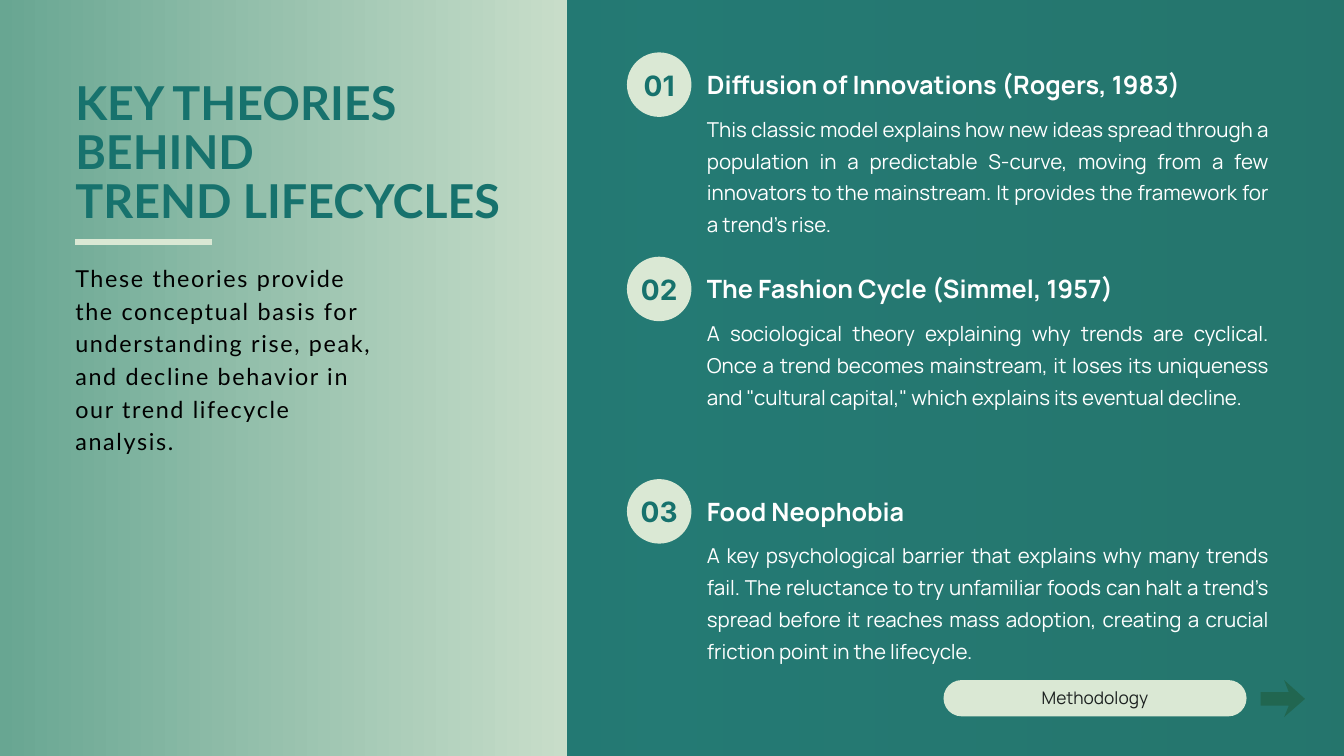
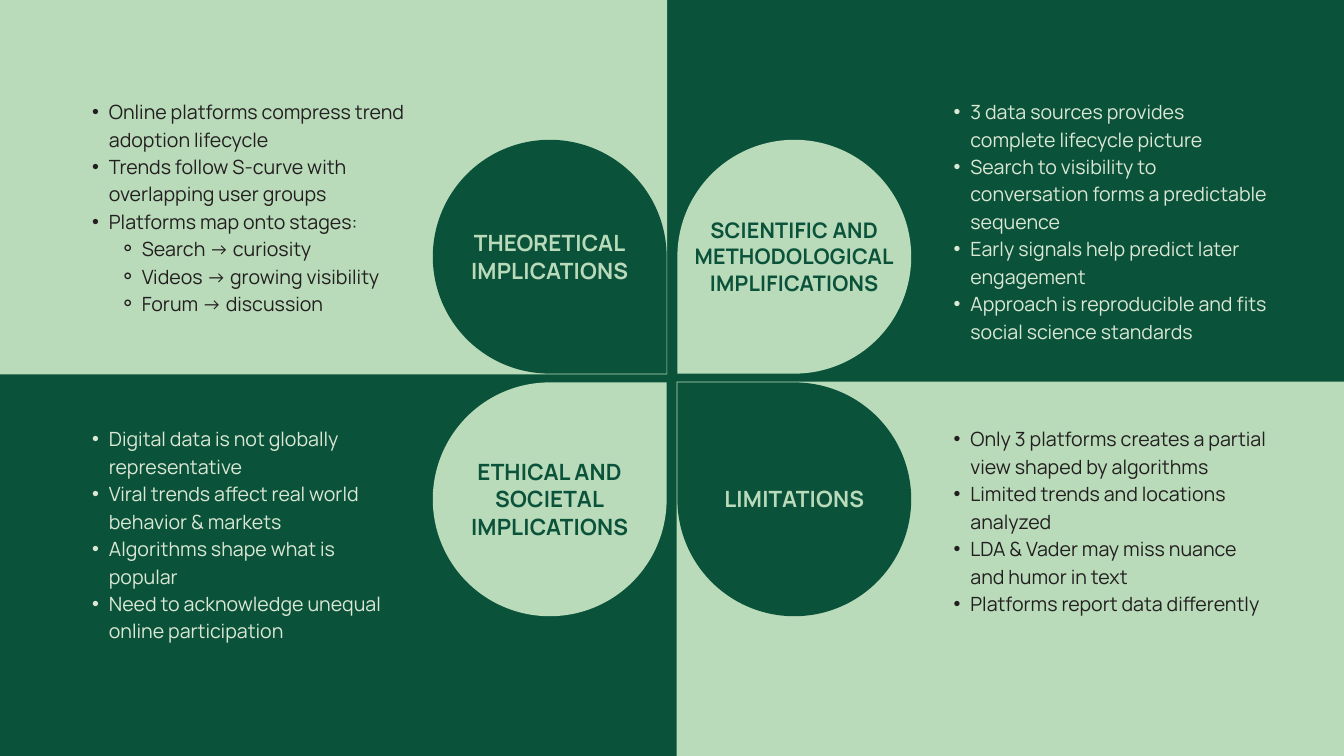
from dataclasses import dataclass

from lxml import etree
from pptx import Presentation
from pptx.dml import color
from pptx.enum import shapes, text
from pptx.oxml import ns
from pptx.util import Inches, Pt
from copy import deepcopy

TEAL, CREAM, WHITE, BLACK = "17726D", "DAE8D4", "FFFFFF", "000000"
FOREST, MINT, INK, CHARCOAL, ARROW_GREEN = "0B523B", "B9DBBA", "231F20", "1C2120", "216650"
BACKDROP = [(0, "68A692"), (0.5, CREAM), (1, "EAA86B")]
SHAPE, ALIGN, ANCHOR = shapes.MSO_SHAPE, text.PP_ALIGN, text.MSO_ANCHOR
TITLE_ONLY, COMPARISON = 5, 4

THEORIES = [
    (0.78, "Diffusion of Innovations (Rogers, 1983)",
     "This classic model explains how new ideas spread through a population in a predictable "
     "S-curve, moving from a few innovators to the mainstream. It provides the framework for "
     "a trend's rise."),
    (3.82, "The Fashion Cycle (Simmel, 1957)",
     "A sociological theory explaining why trends are cyclical. Once a trend becomes mainstream, "
     "it loses its uniqueness and \"cultural capital,\" which explains its eventual decline."),
    (7.13, "Food Neophobia",
     "A key psychological barrier that explains why many trends fail. The reluctance to try "
     "unfamiliar foods can halt a trend's spread before it reaches mass adoption, creating a "
     "crucial friction point in the lifecycle."),
]


@dataclass
class Topic:
    label: list
    points: list
    rotation: int
    label_width: float = 2.57
    size: float = 24
    spacing: float = 29.5


TOPICS = [
    Topic(["THEORETICAL", "IMPLICATIONS"],
          ["Online platforms compress trend adoption lifecycle",
           "Trends follow S-curve with overlapping user groups",
           "Platforms map onto stages:",
           ("Search → curiosity", 2),
           ("Videos → growing visibility", 2),
           ("Forum → discussion", 2)], 90),
    Topic(["SCIENTIFIC AND", "METHODOLOGICAL", "IMPLIFICATIONS"],
          ["3 data sources provides complete lifecycle picture",
           "Search to visibility to conversation forms a predictable sequence",
           "Early signals help predict later engagement",
           "Approach is reproducible and fits social science standards"],
          180, 3.1, 23, 28.3),
    Topic(["ETHICAL AND SOCIETAL", "IMPLICATIONS"],
          ["Digital data is not globally representative",
           "Viral trends affect real world behavior & markets",
           "Algorithms shape what is popular",
           "Need to acknowledge unequal online participation"], 0),
    Topic(["LIMITATIONS"],
          ["Only 3 platforms creates a partial view shaped by algorithms",
           "Limited trends and locations analyzed",
           "LDA & Vader may miss nuance and humor in text",
           "Platforms report data differently"], 270),
]
BULLETS = {1: ("•", 0.5, -0.25), 2: ("⚬", 0.99, -0.33)}


def rgb(code):
    return color.RGBColor.from_string(code)


def add_bullet(paragraph, level):
    character, margin, indent = BULLETS[level]
    paragraph.level = level
    properties = paragraph._p.get_or_add_pPr()
    properties.set("marL", str(Inches(margin)))
    properties.set("indent", str(Inches(indent)))
    etree.SubElement(properties, ns.qn("a:buFont")).set("typeface", "Arial")
    etree.SubElement(properties, ns.qn("a:buChar")).set("char", character)


def write_text(shape, lines, size, ink, spacing, font="Manrope", bold=False,
               align=ALIGN.LEFT, anchor=ANCHOR.TOP, tracking=0, bulleted=False):
    frame = shape.text_frame
    frame.word_wrap = True
    frame.auto_size = text.MSO_AUTO_SIZE.NONE
    frame.vertical_anchor = anchor
    frame.margin_left = frame.margin_right = frame.margin_top = frame.margin_bottom = 0
    for index, line in enumerate(lines):
        words, level = line if isinstance(line, tuple) else (line, 1)
        paragraph = frame.add_paragraph() if index else frame.paragraphs[0]
        if bulleted:
            add_bullet(paragraph, level)
        paragraph.alignment = align
        paragraph.line_spacing = Pt(spacing)
        paragraph.space_before = Pt(0)
        run = paragraph.add_run()
        run.text = words
        run.font.name, run.font.size, run.font.bold = font, Pt(size), bold
        run.font.color.rgb = rgb(ink)
    if tracking:
        for properties in shape.element.xpath(".//a:rPr"):
            properties.set("spc", str(round(tracking * 100)))


def place(shape, left, top, width, height):
    shape.left, shape.top = Inches(left), Inches(top)
    shape.width, shape.height = Inches(width), Inches(height)


def add_text(slide, box, lines, **style):
    shape = slide.shapes.add_textbox(*map(Inches, box))
    write_text(shape, lines, **style)


def paint(shape, fill):
    shape.shadow.inherit = False
    shape.fill.solid()
    shape.fill.fore_color.rgb = rgb(fill)
    shape.line.fill.background()
    return shape


def add_block(slide, kind, box, fill):
    return paint(slide.shapes.add_shape(kind, *map(Inches, box)), fill)


def set_gradient(slide, stops):
    fill = slide.background.fill
    fill.gradient()
    fill.gradient_angle = 0
    stop_list = slide.element.xpath(".//a:gsLst")[0]
    stop_list.append(deepcopy(stop_list[-1]))
    for stop, (position, code) in zip(fill.gradient_stops, stops):
        stop.position = position
        stop.color.rgb = rgb(code)


def add_intro(slide, box):
    left, top, width, _ = box
    title = slide.shapes.title
    place(title, left, top, width, 2.22)
    write_text(title, ["KEY THEORIES BEHIND", "TREND LIFECYCLES"], 50, TEAL, 52.5,
               font="Lato", bold=True)
    rule = slide.shapes.add_connector(shapes.MSO_CONNECTOR.STRAIGHT, *map(
        Inches, (left, top + 2.4, left + 2.04, top + 2.4)))
    rule.line.color.rgb = rgb(CREAM)
    rule.line.width = Pt(6)
    etree.SubElement(rule.element.xpath("./p:spPr")[0], ns.qn("a:effectLst"))
    add_text(slide, (left, top + 2.66, 4.59, 2.86),
             ["These theories provide the conceptual basis for understanding rise, peak, "
              "and decline behavior in our trend lifecycle analysis."],
             size=25, ink=BLACK, spacing=35, font="Lato", tracking=1.8)


def add_theory(slide, left, top, number, heading, body):
    badge = add_block(slide, SHAPE.OVAL, (left, top, 0.96, 0.96), CREAM)
    write_text(badge, [f"{number:02}"], 30, TEAL, 42, font="Inter", bold=True,
               align=ALIGN.CENTER, anchor=ANCHOR.MIDDLE)
    badge.text_frame.margin_bottom = Inches(0.07)
    add_text(slide, (left + 1.19, top + 0.18, 8.36, 0.53), [heading],
             size=27, ink=WHITE, spacing=37.8, bold=True)
    add_text(slide, (left + 1.19, top + 0.85, 8.36, 1.87), [body],
             size=22, ink=WHITE, spacing=34.1, align=ALIGN.JUSTIFY)


def add_next_button(slide, left, top):
    pill = add_block(slide, SHAPE.ROUNDED_RECTANGLE, (left, top, 4.51, 0.54), CREAM)
    pill.adjustments[0] = 0.5
    write_text(pill, ["Methodology"], 18.6, CHARCOAL, 20.1,
               align=ALIGN.CENTER, anchor=ANCHOR.MIDDLE)
    outline = [(0, 0.18), (0.42, 0.18), (0.35, 0), (0.66, 0.28),
               (0.35, 0.55), (0.42, 0.38), (0, 0.38)]
    points = [(Inches(left + 4.72 + x), Inches(top + y)) for x, y in outline]
    builder = slide.shapes.build_freeform(*points[0])
    builder.add_line_segments(points[1:], close=True)
    paint(builder.convert_to_shape(), ARROW_GREEN)


def add_theory_panel(slide, box):
    left, top = box[:2]
    panel = add_block(slide, SHAPE.RECTANGLE, box, TEAL)
    fill_color = panel.element.xpath("./p:spPr/a:solidFill/a:srgbClr")[0]
    etree.SubElement(fill_color, ns.qn("a:alpha")).set("val", "93000")
    for number, (offset, heading, body) in enumerate(THEORIES, 1):
        add_theory(slide, left + 0.89, top + offset, number, heading, body)
    add_next_button(slide, left + 5.6, top + 10.12)


def build_theories(presentation):
    slide = presentation.slides.add_slide(presentation.slide_layouts[TITLE_ONLY])
    set_gradient(slide, BACKDROP)
    add_intro(slide, (1.12, 1.2, 6.72, 5.52))
    add_theory_panel(slide, (8.44, 0, 11.56, 11.25))


def add_quadrant(slide, box, column, row, topic, body):
    left, top, width, height = box
    light = column == row
    if light:
        add_block(slide, SHAPE.RECTANGLE, box, MINT)
    side = 3.48
    petal_left = left + (0.01 if column else width - side - 0.01)
    petal_top = top + (0.01 if row else height - side - 0.01)
    petal = add_block(slide, SHAPE.TEAR, (petal_left, petal_top, side, side),
                      FOREST if light else MINT)
    petal.rotation = topic.rotation
    label_left = petal_left + (side - topic.label_width) / 2
    add_text(slide, (label_left, petal_top + 1.1, topic.label_width, 1.26), topic.label,
             size=topic.size, ink=MINT if light else FOREST, spacing=topic.spacing,
             bold=True, align=ALIGN.CENTER, anchor=ANCHOR.MIDDLE, tracking=0.2)
    place(body, left + (3.87 if column else 1.12), top + (0.62 if row else 1.43), 4.93, 3.66)
    write_text(body, topic.points, 21, INK if light else CREAM, 29.4, bulleted=True)
    body.element.getparent().append(body.element)


def build_implications(presentation):
    slide = presentation.slides.add_slide(presentation.slide_layouts[COMPARISON])
    slide.background.fill.solid()
    slide.background.fill.fore_color.rgb = rgb(FOREST)
    title = slide.shapes.title.element
    title.getparent().remove(title)
    bodies = list(slide.placeholders)
    for index, (topic, body) in enumerate(zip(TOPICS, bodies)):
        row, column = divmod(index, 2)
        add_quadrant(slide, (column * 10.07, row * 5.68, 9.93, 5.57), column, row, topic, body)


def main():
    presentation = Presentation()
    presentation.slide_width, presentation.slide_height = Inches(20), Inches(11.25)
    build_theories(presentation)
    build_implications(presentation)
    presentation.save("out.pptx")


if __name__ == "__main__":
    main()
